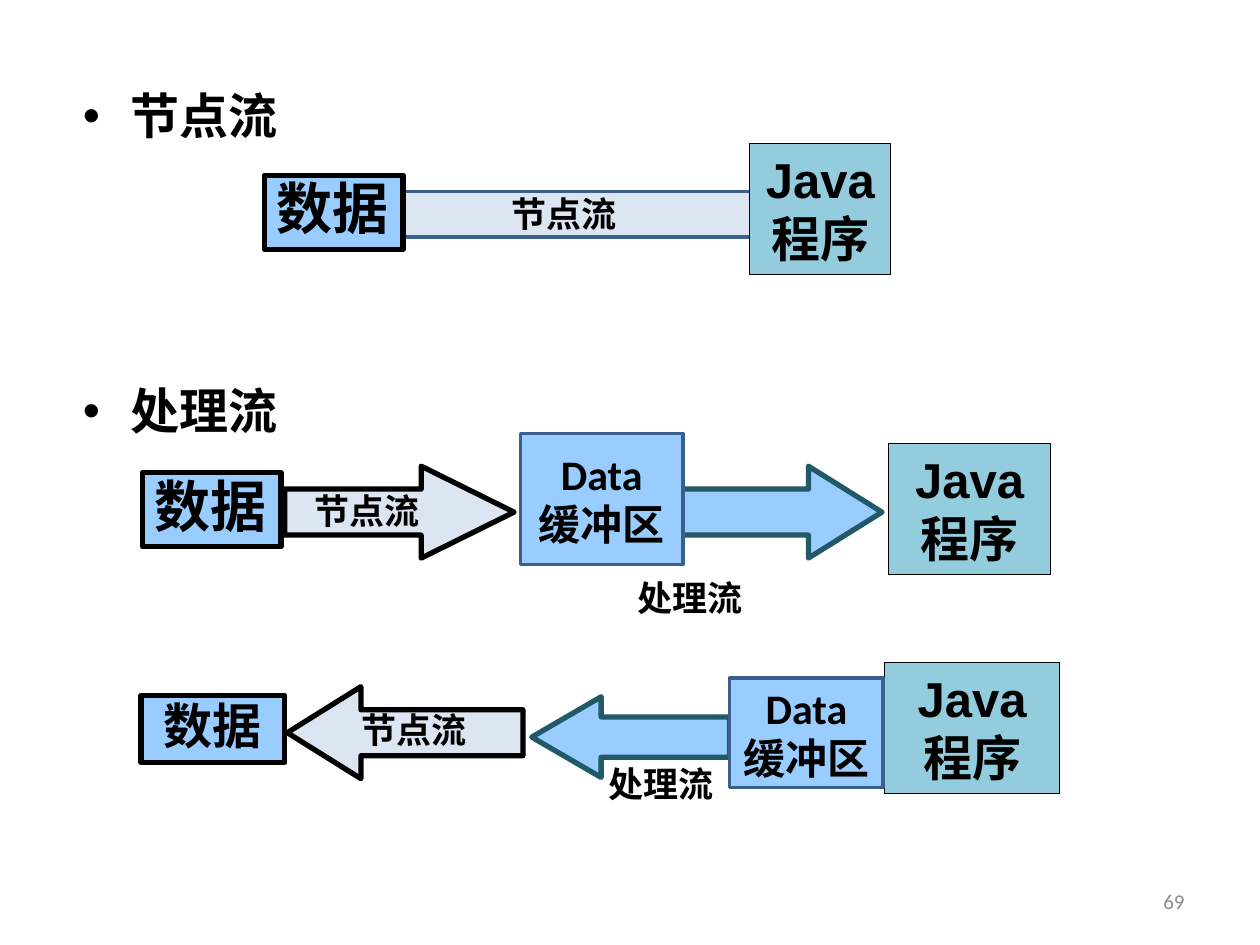
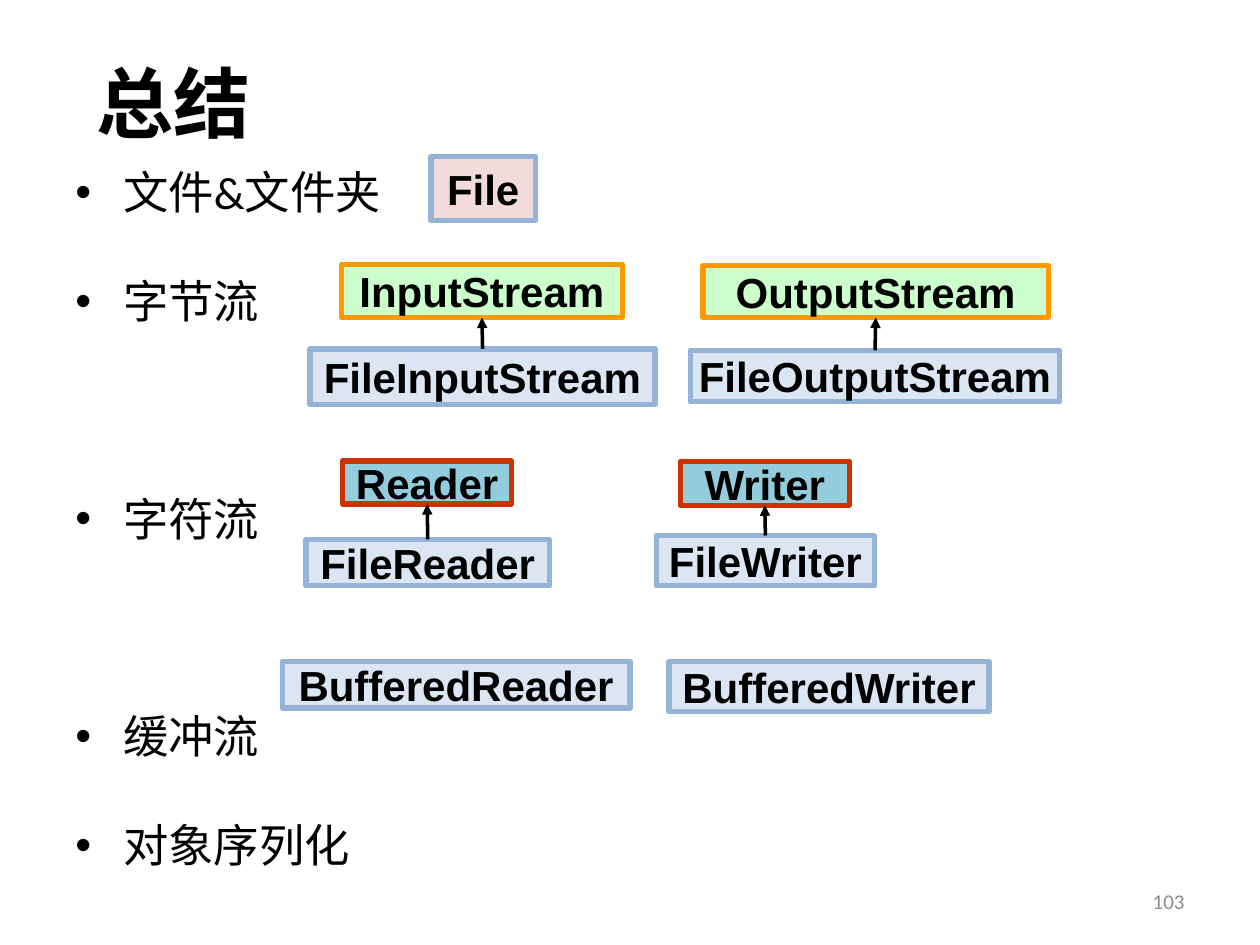
from lxml.etree import SubElement
from pptx import Presentation
from pptx.dml.color import RGBColor
from pptx.enum.shapes import MSO_CONNECTOR as Conn, MSO_SHAPE as Shape
from pptx.enum.text import MSO_ANCHOR as Anchor, PP_ALIGN as Align
from pptx.oxml.ns import qn
from pptx.util import Emu, Pt

EMU_PER_PX = 9144
CJK = "Noto Sans CJK SC"
BLACK, WHITE, GREY = "000000", "FFFFFF", "8C8C8C"
SKY, PALE, TEAL = "99CCFF", "DCE6F2", "93CDDD"
NAVY, DARK_TEAL, STEEL = "3A5F8C", "215968", "95B3D7"

DATA = dict(fill=SKY, line=BLACK, width=3)
BUFFER = dict(fill=SKY, line=NAVY, width=2)
JAVA = dict(fill=TEAL, line=BLACK, width=0.75)
NODE_PIPE = dict(fill=PALE, line=NAVY, width=2)
NODE_ARROW = dict(fill=PALE, line=BLACK, width=3)
FILTER_ARROW = dict(fill=SKY, line=DARK_TEAL, width=3)
CAPTION = dict(fill=WHITE)
FILE = dict(fill="F2DCDB", line=STEEL, width=3)
BYTE_BASE = dict(fill="CCFFCC", line="FF9900", width=3)
CHAR_BASE = dict(fill=TEAL, line="CC3300", width=3)
CONCRETE = dict(fill=PALE, line=STEEL, width=3)

TIGHT = dict(line_spacing=0.9)
CENTRED = dict(alignment=Align.CENTER)


def px(n):
    return Emu(round(n * EMU_PER_PX))


def rgb(value):
    return RGBColor.from_string(value)


def set_all(obj, values):
    for name, value in values.items():
        setattr(obj, name, value)


def write(sp, lines, size, font, bold=True, color=BLACK, para=None, **frame):
    tf = sp.text_frame
    set_all(tf, {"word_wrap": True, "vertical_anchor": Anchor.TOP, **frame})
    for i, line in enumerate(lines):
        p = tf.add_paragraph() if i else tf.paragraphs[0]
        set_all(p, {"alignment": Align.LEFT, **(para or {})})
        r = p.add_run()
        r.text = line
        set_all(r.font, dict(size=Pt(size), name=font, bold=bold))
        r.font.color.rgb = rgb(color)
        SubElement(r.font._element, qn("a:ea"), typeface=CJK)
    return tf


def textbox(s, rect, lines, size, font, **style):
    sp = s.shapes.add_textbox(*map(px, rect))
    return write(sp, lines, size, font, **style)


def block(s, rect, fill, line=None, width=0, kind=Shape.RECTANGLE):
    sp = s.shapes.add_shape(kind, *map(px, rect))
    sp.shadow.inherit = False
    sp.fill.solid()
    sp.fill.fore_color.rgb = rgb(fill)
    if line:
        sp.line.color.rgb = rgb(line)
        sp.line.width = Pt(width)
    else:
        sp.line.fill.background()
    return sp


def arrow(s, rect, head, style, rotation=0):
    sp = block(s, rect, kind=Shape.RIGHT_ARROW, **style)
    sp.adjustments[1] = head
    sp.rotation = rotation


def data_box(s, rect, size, **style):
    write(block(s, rect, **DATA), ["数据"], size, "Times New Roman", **style)


def java_box(s, rect):
    write(block(s, rect, **JAVA), ["Java程序"], 28, "Arial", para=CENTRED)


def buffer_box(s, rect):
    write(block(s, rect, **BUFFER), ["Data", "缓冲区"], 24, "Calibri",
          para=CENTRED, vertical_anchor=Anchor.MIDDLE)


def node_label(s, x, y):
    textbox(s, (x, y, 112, 40), ["节点流"], 20, "Times New Roman",
            para=TIGHT, word_wrap=False)


def filter_label(s, rect):
    write(block(s, rect, **CAPTION), ["处理流"], 20, "Times New Roman", para=CENTRED)


def class_box(s, name, rect, style):
    sp = block(s, rect, **style)
    write(sp, [name], 24, "Arial", para=CENTRED,
          word_wrap=False, vertical_anchor=Anchor.MIDDLE)
    return sp


def inherit_arrow(s, child, parent):
    cx = s.shapes.add_connector(
        Conn.STRAIGHT, child.left + child.width // 2, child.top,
        parent.left + parent.width // 2, parent.top + parent.height)
    cx.line.color.rgb = rgb(BLACK)
    cx.line.width = Pt(2)
    SubElement(cx.line._get_or_add_ln(), qn("a:tailEnd"), type="triangle")
    SubElement(cx._element.spPr, qn("a:effectLst"))


def bullets(s, rect, items, size, font, bold, line_height, row_pitch):
    tf = textbox(s, rect, [text for text, _ in items], size, font, bold=bold,
                 para=dict(line_spacing=Pt(line_height)))
    for p, (_, rows) in zip(tf.paragraphs, items):
        p.space_before = Pt(max(0, rows * row_pitch - line_height))
        pPr = p._p.get_or_add_pPr()
        pPr.set("marL", str(px(38)))
        pPr.set("indent", str(-px(38)))
        SubElement(pPr, qn("a:buFont"), typeface="Arial")
        SubElement(pPr, qn("a:buChar"), char="•")


def new_slide(prs, number):
    s = prs.slides.add_slide(prs.slide_layouts[6])
    textbox(s, (717, 695, 233, 40), [str(number)], 12, "Calibri", bold=False,
            color=GREY, para=dict(alignment=Align.RIGHT),
            vertical_anchor=Anchor.MIDDLE)
    return s


def stream_kinds(prs):
    s = new_slide(prs, 69)
    arrow(s, (541, 370, 159, 73), 0.8, FILTER_ARROW)
    block(s, (320, 152, 282, 36), **NODE_PIPE)
    bullets(s, (56, 60, 900, 633), [("节点流", 0), ("处理流", 5)],
            28, CJK, True, 36, 33.7)

    data_box(s, (210, 139, 110, 59), 32, para=TIGHT, word_wrap=False)
    node_label(s, 396, 152)
    java_box(s, (595, 114, 112, 104))

    data_box(s, (113, 375, 110, 59), 32, para=TIGHT, word_wrap=False)
    arrow(s, (226, 370, 182, 73), 1.01, NODE_ARROW)
    node_label(s, 240, 387)
    filter_label(s, (492, 453, 112, 44))
    java_box(s, (705, 352, 129, 104))
    buffer_box(s, (413, 344, 129, 104))

    data_box(s, (112, 552, 114, 53), 28, para={**TIGHT, **CENTRED})
    arrow(s, (228, 545, 187, 73), 0.8, NODE_ARROW, 180)
    filter_label(s, (464, 600, 122, 44))
    java_box(s, (702, 526, 139, 104))
    arrow(s, (422, 553, 157, 64), 0.86, FILTER_ARROW, 180)
    buffer_box(s, (579, 538, 122, 87))
    node_label(s, 277, 561)


def summary(prs):
    s = new_slide(prs, 103)
    textbox(s, (67, 30, 883, 102), ["总结"], 44, "Calibri",
            vertical_anchor=Anchor.MIDDLE)
    bullets(s, (50, 123, 900, 547),
            [("文件&文件夹", 0), ("字节流", 2), ("字符流", 4),
             ("缓冲流", 4), ("对象序列化", 2)],
            25.9, "Calibri", False, 33, 31.1)
    class_box(s, "File", (342, 124, 83, 51), FILE)
    families = [
        ("InputStream", (271, 210, 223, 42), BYTE_BASE, (246, 277, 274, 44)),
        ("OutputStream", (558, 211, 274, 41), BYTE_BASE, (548, 278, 293, 41)),
        ("Reader", (272, 366, 134, 34), CHAR_BASE, (243, 428, 193, 37)),
        ("Writer", (540, 366, 134, 35), CHAR_BASE, (521, 425, 173, 40)),
    ]
    for name, base_rect, style, child_rect in families:
        parent = class_box(s, name, base_rect, style)
        child = class_box(s, "File" + name, child_rect, CONCRETE)
        inherit_arrow(s, child, parent)
    class_box(s, "BufferedReader", (224, 525, 276, 37), CONCRETE)
    class_box(s, "BufferedWriter", (531, 525, 254, 40), CONCRETE)


def main():
    prs = Presentation()
    prs.slide_width, prs.slide_height = px(1000), px(750)
    stream_kinds(prs)
    summary(prs)
    prs.save("out.pptx")


if __name__ == "__main__":
    main()
